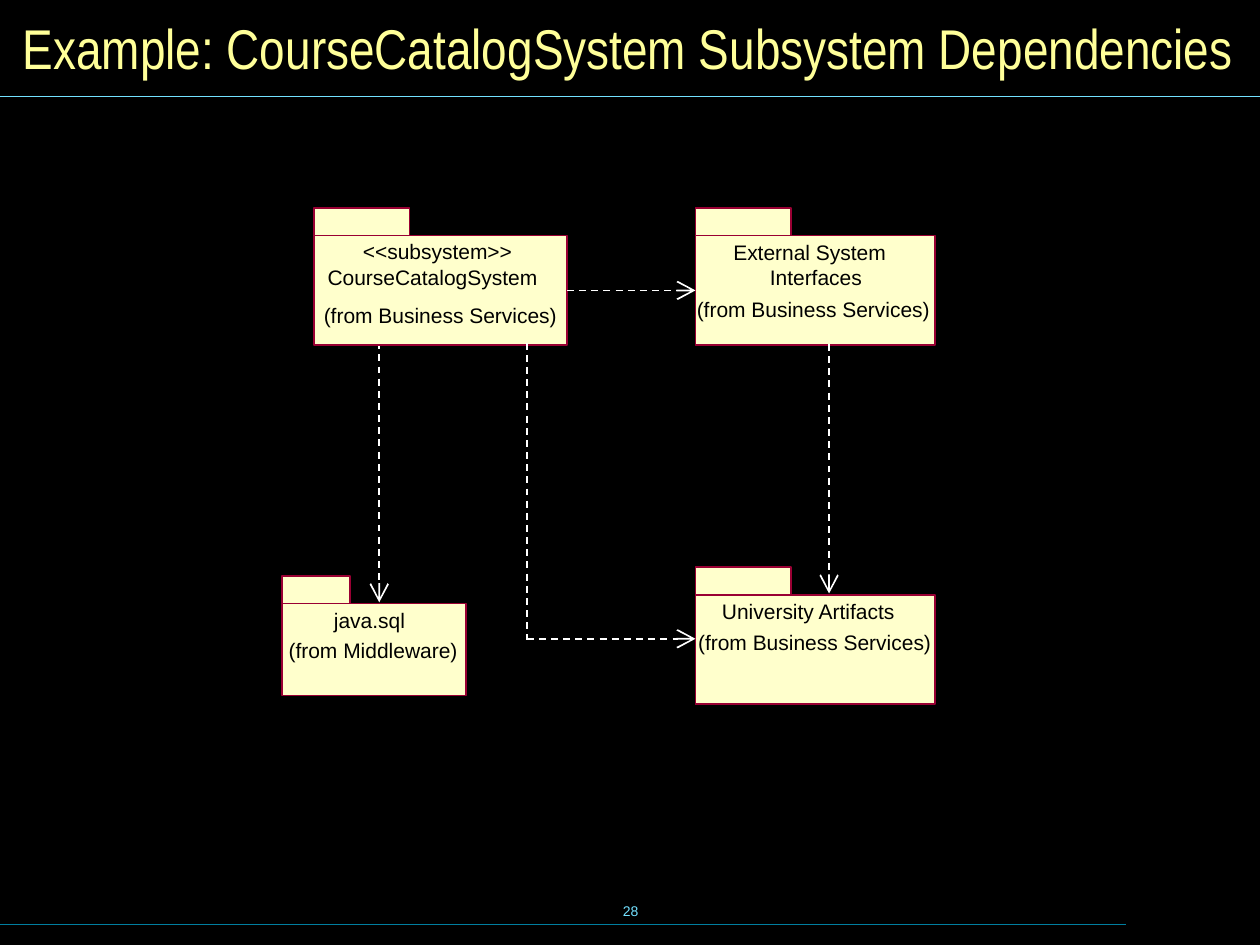
import pptx
import pptx.util
import pptx.dml.color
import pptx.enum.dml
import pptx.enum.shapes
import pptx.enum.text
import pptx.oxml
import pptx.oxml.ns

RGB = pptx.dml.color.RGBColor
BLACK = RGB(0x00, 0x00, 0x00)
WHITE = RGB(0xFF, 0xFF, 0xFF)
TITLE_YELLOW = RGB(0xFF, 0xFF, 0x99)
CREAM = RGB(0xFF, 0xFF, 0xCC)
MAROON = RGB(0x99, 0x00, 0x33)
SKY = RGB(0x73, 0xE1, 0xFF)
TEAL = RGB(0x00, 0x7E, 0x9F)

ALIGN = pptx.enum.text.PP_ALIGN
ANCHOR = pptx.enum.text.MSO_ANCHOR
AUTO_SIZE = pptx.enum.text.MSO_AUTO_SIZE

# Grid of 100 columns by 75 rows over the slide
SLIDE_W, SLIDE_H = pptx.util.Inches(10), pptx.util.Inches(7.5)
CELL = SLIDE_W / 100
TAB_H = 2.2
LABEL_H = 2


def grid(*cells):
    return [pptx.util.Emu(round(cell * CELL)) for cell in cells]


def style_text(frame, text, size, color, font="Arial", align=ALIGN.LEFT):
    frame.text = text
    paragraph = frame.paragraphs[0]
    paragraph.alignment = align
    paragraph.font.size = pptx.util.Pt(size)
    paragraph.font.name = font
    paragraph.font.color.rgb = color


def add_title(slide, text):
    title = slide.shapes.title
    title.left, title.top, title.width, title.height = grid(0.8, 0.8, 98.4, 5.8)
    frame = title.text_frame
    frame.auto_size = AUTO_SIZE.NONE
    frame.vertical_anchor = ANCHOR.MIDDLE
    style_text(frame, text, 32, TITLE_YELLOW, "Arial Narrow")


def add_slide_number(slide, number):
    frame = slide.shapes.add_textbox(*grid(34.2, 69.8, 31.7, 5)).text_frame
    frame.word_wrap = False
    frame.vertical_anchor = ANCHOR.MIDDLE
    style_text(frame, number, 8, SKY, align=ALIGN.CENTER)


def add_line(slide, start, end, color, width):
    line = slide.shapes.add_connector(
        pptx.enum.shapes.MSO_CONNECTOR.STRAIGHT, *grid(*start, *end))
    line.line.color.rgb = color
    line.line.width = pptx.util.Pt(width)
    properties = line._element.spPr
    properties.append(pptx.oxml.parse_xml(
        f'<a:effectLst {pptx.oxml.ns.nsdecls("a")}/>'))
    return line


def add_dependency(slide, start, end, arrow=True):
    dependency = add_line(slide, start, end, WHITE, 1)
    dependency.line.dash_style = pptx.enum.dml.MSO_LINE.DASH
    if arrow:
        dependency.line._get_or_add_ln().append(pptx.oxml.parse_xml(
            f'<a:tailEnd {pptx.oxml.ns.nsdecls("a")}'
            ' type="arrow" w="lg" len="lg"/>'))
    return dependency


def add_block(group, left, top, width, height):
    block = group.shapes.add_shape(
        pptx.enum.shapes.MSO_SHAPE.RECTANGLE, *grid(left, top, width, height))
    block.shadow.inherit = False
    block.fill.solid()
    block.fill.fore_color.rgb = CREAM
    block.line.color.rgb = MAROON
    block.line.width = pptx.util.Pt(1)
    return block


def add_label(group, text, left, top, width):
    frame = group.shapes.add_textbox(*grid(left, top, width, LABEL_H)).text_frame
    frame.margin_left = frame.margin_right = 0
    frame.margin_top = frame.margin_bottom = 0
    frame.word_wrap = False
    frame.auto_size = AUTO_SIZE.NONE
    style_text(frame, text, 12, BLACK)


def add_package(slide, left, top, width, height, tab_width, labels):
    """Draw a UML package; each label runs from its offset to the body's edge."""
    group = slide.shapes.add_group_shape()
    body = add_block(group, left, top, width, height)
    add_block(group, left, top - TAB_H, tab_width, TAB_H)
    for text, dx, dy in labels:
        add_label(group, text, left + dx, top + dy, width - dx)
    return body


def main():
    presentation = pptx.Presentation()
    presentation.slide_width, presentation.slide_height = SLIDE_W, SLIDE_H
    slide = presentation.slides.add_slide(presentation.slide_layouts[5])
    slide.background.fill.solid()
    slide.background.fill.fore_color.rgb = BLACK

    # Title, rules and slide number
    add_title(slide, "Example: CourseCatalogSystem Subsystem Dependencies")
    add_slide_number(slide, "28")
    add_line(slide, (0, 73.35), (89.4, 73.35), TEAL, 0.75)
    add_line(slide, (0, 7.65), (100, 7.65), SKY, 0.75)

    # Dependency that runs behind the packages
    add_dependency(slide, (30.1, 26.2), (30.1, 47.8))

    # Packages
    services = "(from Business Services)"
    add_package(slide, 22.4, 47.9, 14.6, 7.3, 5.4, [
        ("java.sql", 4.1, 0.3),
        ("(from Middleware)", 0.5, 2.7)])
    catalog = add_package(slide, 24.9, 18.7, 20.1, 8.7, 7.6, [
        ("<<subsystem>>", 3.9, 0.2),
        ("CourseCatalogSystem", 1.1, 2.3),
        (services, 0.8, 5.3)])
    interfaces = add_package(slide, 55.2, 18.7, 19, 8.7, 7.6, [
        ("External System", 3, 0.3),
        ("Interfaces", 5.9, 2.3),
        (services, 0.1, 4.8)])
    add_package(slide, 55.2, 47.2, 19, 8.7, 7.6, [
        ("University Artifacts", 2.1, 0.3),
        (services, 0.2, 2.8)])

    # Dependencies in front of the packages
    catalog_link = add_dependency(slide, (45, 23.1), (55.2, 23.1))
    catalog_link.begin_connect(catalog, 3)
    catalog_link.end_connect(interfaces, 1)
    add_dependency(slide, (65.8, 27.3), (65.8, 47.1))
    add_dependency(slide, (41.8, 27.2), (41.8, 50.8), arrow=False)
    add_dependency(slide, (41.8, 50.7), (55.2, 50.7))

    presentation.save("out.pptx")


if __name__ == "__main__":
    main()
